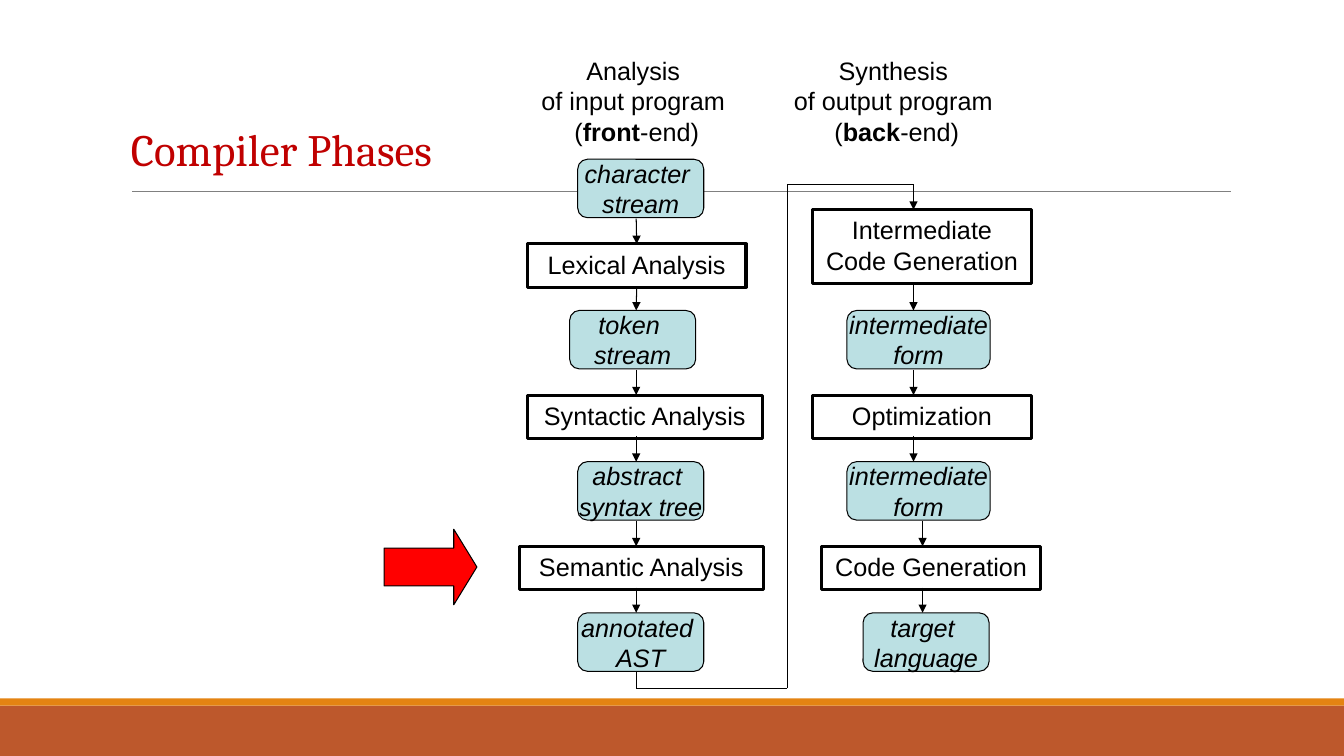
from dataclasses import dataclass
from itertools import pairwise

from lxml import etree
from pptx import Presentation
from pptx import util as u
from pptx.dml.color import RGBColor
from pptx.enum import shapes, text
from pptx.oxml import ns

PX = 9144


@dataclass(frozen=True)
class Theme:
    """Colours, fonts and type sizes of the slide."""

    ink: str = "000000"
    title: str = "C00000"
    state: str = "BBE0E3"
    marker: str = "FF0000"
    band: str = "BD582C"
    stripe: str = "E48312"
    rule: str = "808080"
    title_font: str = "Cambria"
    body_font: str = "Arial"
    title_size: float = 32
    body_size: float = 18
    thin: float = 0.75
    thick: float = 2.25
    hairline: float = 0.5


THEME = Theme()


def emu(*lengths):
    """Turn px lengths into EMU."""
    return [u.Emu(length * PX) for length in lengths]


def colour(code):
    """Return the RGB colour for a hex code."""
    return RGBColor.from_string(code)


def add_box(slide, preset, box, fill=None, weight=None):
    """Add a preset shape with an optional fill and outline."""
    shape = slide.shapes.add_shape(preset, *emu(*box))
    shape.shadow.inherit = False
    if fill:
        shape.fill.solid()
        shape.fill.fore_color.rgb = colour(fill)
    else:
        shape.fill.background()
    if weight:
        shape.line.color.rgb = colour(THEME.ink)
        shape.line.width = u.Pt(weight)
    else:
        shape.line.fill.background()
    return shape


def add_line(slide, start, end, ink=THEME.ink, weight=THEME.thin, arrow=False):
    """Add a straight line, with an arrowhead at its end if asked."""
    line = slide.shapes.add_connector(shapes.MSO_CONNECTOR.STRAIGHT, *emu(*start, *end))
    line.line.color.rgb = colour(ink)
    line.line.width = u.Pt(weight)
    if arrow:
        etree.SubElement(line.line._get_or_add_ln(), ns.qn("a:tailEnd"), type="triangle")
    etree.SubElement(line._element.spPr, ns.qn("a:effectLst"))
    return line


def write(frame, lines, italic=None):
    """Write centred body paragraphs, each a list of (words, bold) runs."""
    for index, runs in enumerate(lines):
        paragraph = frame.add_paragraph() if index else frame.paragraphs[0]
        paragraph.alignment = text.PP_ALIGN.CENTER
        for words, bold in runs:
            run = paragraph.add_run()
            run.text = words
            if bold:
                run.font.bold = True
        paragraph.font.name = THEME.body_font
        paragraph.font.size = u.Pt(THEME.body_size)
        paragraph.font.color.rgb = colour(THEME.ink)
        paragraph.font.italic = italic


def draw_backdrop(slide, box):
    """Draw the footer bands and the rule under the title."""
    left, top, width, height = box
    bottom = top + height
    rectangle = shapes.MSO_SHAPE.RECTANGLE
    add_box(slide, rectangle, (left, bottom - 50, width, 50), THEME.band)
    add_box(slide, rectangle, (left, bottom - 57, width, 7), THEME.stripe)
    add_line(slide, (left + 131, top + 190), (left + 1221, top + 190), THEME.rule, THEME.hairline)


def draw_title(slide, box, words):
    """Write the slide title."""
    frame = slide.shapes.add_textbox(*emu(*box)).text_frame
    frame.word_wrap = True
    frame.vertical_anchor = text.MSO_ANCHOR.MIDDLE
    title = frame.paragraphs[0]
    title.text = words
    title.font.name = THEME.title_font
    title.font.size = u.Pt(THEME.title_size)
    title.font.color.rgb = colour(THEME.title)


def draw_heading(slide, box, role, subject, end):
    """Write the three lines above a column."""
    frame = slide.shapes.add_textbox(*emu(*box)).text_frame
    frame.word_wrap = True
    frame.auto_size = text.MSO_AUTO_SIZE.SHAPE_TO_FIT_TEXT
    write(frame, [[(role, False)], [(subject, False)],
                  [("(", False), (end, True), ("-end)", False)]])


def draw_state(slide, box, lines):
    """Draw a rounded box for the data between two phases."""
    state = add_box(slide, shapes.MSO_SHAPE.ROUNDED_RECTANGLE, box, THEME.state, THEME.thin)
    state.adjustments[0] = 0.167
    state.text_frame.word_wrap = False
    state.text_frame.vertical_anchor = text.MSO_ANCHOR.MIDDLE
    write(state.text_frame, [[(line, False)] for line in lines], italic=True)
    return state


def draw_phase(slide, box, name):
    """Draw a bordered box for a compiler phase."""
    phase = add_box(slide, shapes.MSO_SHAPE.RECTANGLE, box, weight=THEME.thick)
    phase.text_frame.word_wrap = True
    phase.text_frame.vertical_anchor = text.MSO_ANCHOR.TOP
    phase.text_frame.auto_size = text.MSO_AUTO_SIZE.SHAPE_TO_FIT_TEXT
    write(phase.text_frame, [[(name, False)]])
    return phase


def draw_column(slide, box, steps):
    """Draw phases and states downwards, with an arrow into each step that has one."""
    left, top, _, _ = box
    gap = 25
    above = None
    for content, x, y, width, height, arrow_x in steps:
        place = (left + x, top + y, width, height)
        draw = draw_phase if isinstance(content, str) else draw_state
        step = draw(slide, place, content)
        if arrow_x is not None:
            tip = (left + arrow_x, top + y)
            arrow = add_line(slide, (tip[0], tip[1] - gap), tip, arrow=True)
            for shape, join, side in ((above, arrow.begin_connect, 2), (step, arrow.end_connect, 0)):
                if shape and abs(shape.left + shape.width / 2 - tip[0] * PX) <= PX:
                    join(shape, side)
        above = step


def draw_bridge(slide, box, turn):
    """Lead from the foot of the first column to the head of the second."""
    left, top, width, height = box
    bottom = top + height
    corners = [(left, bottom - 16), (left, bottom), (left + turn, bottom),
               (left + turn, top), (left + width, top)]
    for start, end in pairwise(corners):
        add_line(slide, start, end)


def draw_marker(slide, box):
    """Draw the block arrow that points at the current phase."""
    marker = add_box(slide, shapes.MSO_SHAPE.RIGHT_ARROW, box, THEME.marker, THEME.thin)
    marker.adjustments[0] = 0.5
    marker.adjustments[1] = 0.306


def main():
    """Build the compiler phases slide."""
    deck = Presentation()
    deck.slide_width, deck.slide_height = emu(1333, 750)
    slide = deck.slides.add_slide(deck.slide_layouts[6])
    front = [
        (("character ", "stream"), 58, 0, 125, 58, None),
        ("Lexical Analysis", 8, 84, 217, 43, 116),
        (("token ", "stream"), 50, 150, 125, 58, 116),
        ("Syntactic Analysis", 8, 234, 233, 43, 116),
        (("abstract ", "syntax tree"), 58, 300, 125, 58, 116),
        ("Semantic Analysis", 0, 384, 242, 43, 116),
        (("annotated ", "AST"), 58, 450, 125, 58, 116),
    ]
    back = [
        ("Intermediate Code Generation", 0, 50, 217, 73, 100),
        (("intermediate", "form"), 34, 150, 142, 58, 100),
        ("Optimization", 0, 234, 217, 43, 100),
        (("intermediate", "form"), 34, 300, 142, 58, 100),
        ("Code Generation", 9, 384, 217, 43, 109),
        (("target ", "language"), 50, 450, 125, 58, 109),
    ]
    draw_backdrop(slide, (0, 0, 1333, 750))
    draw_title(slide, (120, 85, 850, 125), "Compiler Phases")
    draw_heading(slide, (523, 50, 217, 100), "Analysis ", "of input program ", "front")
    draw_column(slide, (515, 158, 242, 508), front)
    draw_column(slide, (806, 158, 226, 508), back)
    draw_bridge(slide, (631, 183, 275, 500), 150)
    draw_heading(slide, (773, 50, 233, 100), "Synthesis ", "of output program ", "back")
    draw_marker(slide, (381, 525, 92, 75))
    deck.save("out.pptx")


if __name__ == "__main__":
    main()
